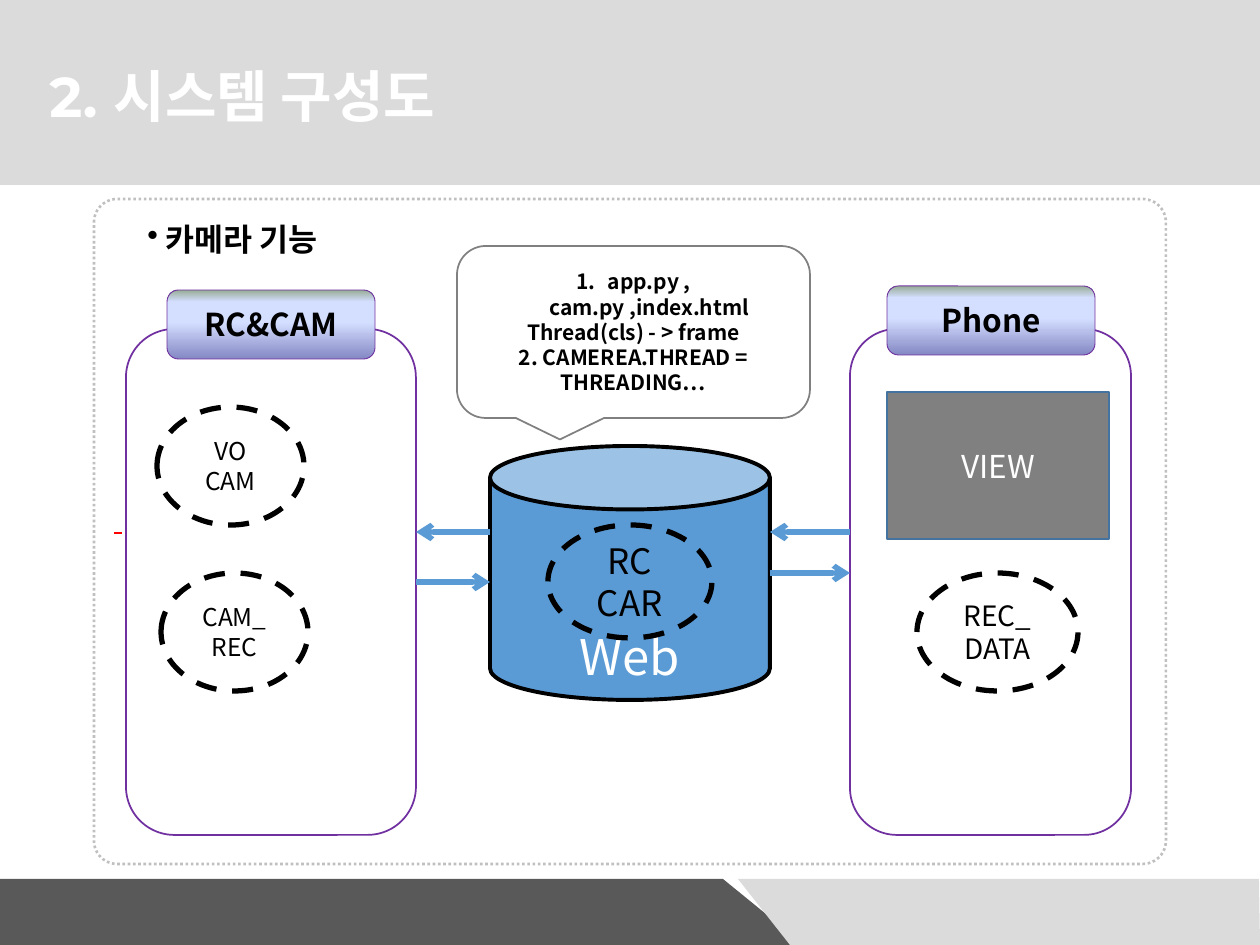
import pptx
import pptx.util
import pptx.dml.color
import pptx.enum.dml
import pptx.enum.shapes
import pptx.enum.text
import pptx.oxml
import pptx.oxml.ns

SHAPE = pptx.enum.shapes.MSO_SHAPE
DASH = pptx.enum.dml.MSO_LINE
ALIGN = pptx.enum.text.PP_ALIGN
ANCHOR = pptx.enum.text.MSO_ANCHOR
PX = 914400 / 126
SANS = "Noto Sans CJK KR"
NS = 'xmlns:a="http://schemas.openxmlformats.org/drawingml/2006/main"'

COLORS = {
    "white": "FFFFFF", "black": "000000", "band": "DBDBDB", "dark": "595959",
    "dots": "C0C0C0", "purple": "7030A0", "blue": "5B9BD5", "edge": "43739E",
    "gray": "808080", "red": "FF0000",
}
TAB_STOPS = [(0, "8488C4"), (53, "D4DEFF"), (83, "D4DEFF"), (100, "96AB94")]

# Content: preset, box, format
FRAME = dict(line="dots", width=1.5, dash=DASH.ROUND_DOT, adj=[0.035])
PANEL = dict(fill="white", line="purple", width=1)
TAB = dict(fill="tab", line="purple", width=0.5, size=18, bold=True)
NODE = dict(line="black", width=3, dash=DASH.DASH)
SHAPES = [
    (SHAPE.RECTANGLE, (0, 0, 1260, 185), dict(fill="band")),
    (SHAPE.ROUNDED_RECTANGLE, (94, 199, 1072, 665), FRAME),
    (SHAPE.ROUNDED_RECTANGLE, (126, 329, 290, 506), PANEL),
    (SHAPE.ROUNDED_RECTANGLE, (167, 290, 208, 69), dict(TAB, text=["RC&CAM"])),
    (SHAPE.CAN, (490, 446, 280, 254),
     dict(fill="blue", line="black", width=2.25, text=["Web"], size=28,
          color="white", anchor=ANCHOR.TOP, top=117)),
    (SHAPE.ROUNDED_RECTANGLE, (850, 329, 281, 506), PANEL),
    (SHAPE.ROUNDED_RECTANGLE, (887, 286, 208, 69), dict(TAB, text=["Phone"])),
    (SHAPE.OVAL, (157, 407, 147, 118), dict(NODE, text=["VO CAM"], size=14)),
    (SHAPE.OVAL, (161, 573, 147, 118), dict(NODE, text=["CAM_REC"], size=14)),
    (SHAPE.OVAL, (548, 525, 164, 113), dict(NODE, text=["RC CAR"], size=20)),
    (SHAPE.RECTANGLE, (887, 392, 222, 147),
     dict(fill="gray", line="edge", width=1, text=["VIEW"], size=18, color="white")),
    (SHAPE.OVAL, (917, 573, 161, 118), dict(NODE, text=["REC_", "DATA"], size=16)),
    (SHAPE.ROUNDED_RECTANGULAR_CALLOUT, (457, 246, 353, 172),
     dict(line="gray", width=1, size=12, bold=True, numbered=True,
          text=["app.py , cam.py ,index.html", "Thread(cls) - > frame",
                "2. CAMEREA.THREAD = THREADING…"])),
]
FOOTERS = [
    ("dark", [(-10, 879), (723, 879), (804, 945), (-9, 945)]),
    ("band", [(1260, 945), (790, 945), (738, 879), (1259, 879)]),
]
# Lines: from x, to x, y, colour, width, arrowhead
LINES = [
    (416, 490, 582, "blue", 3, True), (770, 850, 573, "blue", 3, True),
    (850, 770, 532, "blue", 3, True), (490, 416, 532, "blue", 3, True),
    (114, 122, 533, "red", 1.5, False),
]
TEXTS = [
    ((37, 47, 1058, 97), "2. 시스템 구성도",
     dict(size=32, font="Montserrat", color="white", wrap=True, anchor=ANCHOR.MIDDLE)),
    ((135, 214, 218, 50), " 카메라 기능", dict(size=18, bullet=True)),
]


def emu(*values):
    return [pptx.util.Emu(round(v * PX)) for v in values]


def rgb(name):
    return pptx.dml.color.RGBColor.from_string(COLORS[name])


def add_xml(parent, tag, attrs="", inner=""):
    el = pptx.oxml.parse_xml(f"<a:{tag} {NS} {attrs}>{inner}</a:{tag}>")
    parent.append(el)
    return el


def paint(s, fill=None, line=None, width=1, dash=None):
    s.shadow.inherit = False
    if fill == "tab":
        stops = "".join(f'<a:gs pos="{pos * 1000}"><a:srgbClr val="{c}"/></a:gs>'
                        for pos, c in TAB_STOPS)
        grad = add_xml(s._element.spPr, "gradFill", 'rotWithShape="1"',
                       f'<a:gsLst>{stops}</a:gsLst><a:lin ang="16200000" scaled="0"/>')
        s._element.spPr.find(pptx.oxml.ns.qn("a:prstGeom")).addnext(grad)
    elif fill:
        s.fill.solid()
        s.fill.fore_color.rgb = rgb(fill)
    else:
        s.fill.background()
    if line:
        s.line.color.rgb = rgb(line)
        s.line.width = pptx.util.Pt(width)
        if dash:
            s.line.dash_style = dash
    else:
        s.line.fill.background()


def write(tf, text, size, align=ALIGN.CENTER, font=SANS, color="black", bold=False,
          anchor=ANCHOR.MIDDLE, wrap=True, top=6, numbered=False, bullet=False):
    frame = dict(word_wrap=wrap, vertical_anchor=anchor, margin_top=emu(top)[0])
    for name, value in frame.items():
        setattr(tf, name, value)
    for i, words in enumerate(text):
        p = tf.paragraphs[0] if i == 0 else tf.add_paragraph()
        p.alignment = align
        pPr = p._p.get_or_add_pPr()
        if numbered and i == 0:
            pPr.set("marL", "228600")
            pPr.set("indent", "-228600")
            add_xml(pPr, "buAutoNum", 'type="arabicPeriod"')
        if bullet:
            add_xml(pPr, "buChar", 'char="•"')
        r = p.add_run()
        r.text = words
        r.font.color.rgb = rgb(color)
        for name, value in dict(size=pptx.util.Pt(size), bold=bold, name=font).items():
            setattr(r.font, name, value)
        add_xml(r._r.get_or_add_rPr(), "ea", f'typeface="{SANS}"')


prs = pptx.Presentation()
prs.slide_width, prs.slide_height = emu(1260, 945)
shapes = prs.slides.add_slide(prs.slide_layouts[6]).shapes

# Footer bands
for color, points in FOOTERS:
    builder = shapes.build_freeform(*points[0], scale=PX)
    builder.add_line_segments(points[1:], close=True)
    paint(builder.convert_to_shape(), color)

# Panels, nodes and callout
for preset, box, style in SHAPES:
    s = shapes.add_shape(preset, *emu(*box))
    look = {k: style[k] for k in ("fill", "line", "width", "dash") if k in style}
    paint(s, **look)
    for i, value in enumerate(style.get("adj", [])):
        s.adjustments[i] = value
    if "text" in style:
        write(s.text_frame, **{k: v for k, v in style.items() if k not in look})

# Arrows and the short red dash
for x1, x2, y, color, width, arrow in LINES:
    s = shapes.add_connector(pptx.enum.shapes.MSO_CONNECTOR.STRAIGHT, *emu(x1, y, x2, y))
    s.line.color.rgb = rgb(color)
    s.line.width = pptx.util.Pt(width)
    if arrow:
        add_xml(s.line._get_or_add_ln(), "tailEnd", 'type="arrow"')
    add_xml(s._element.spPr, "effectLst")

# Headings
for box, words, style in TEXTS:
    tf = shapes.add_textbox(*emu(*box)).text_frame
    write(tf, [words], **dict(dict(align=ALIGN.LEFT, bold=True, wrap=False,
                                   anchor=ANCHOR.TOP), **style))

prs.save("out.pptx")
